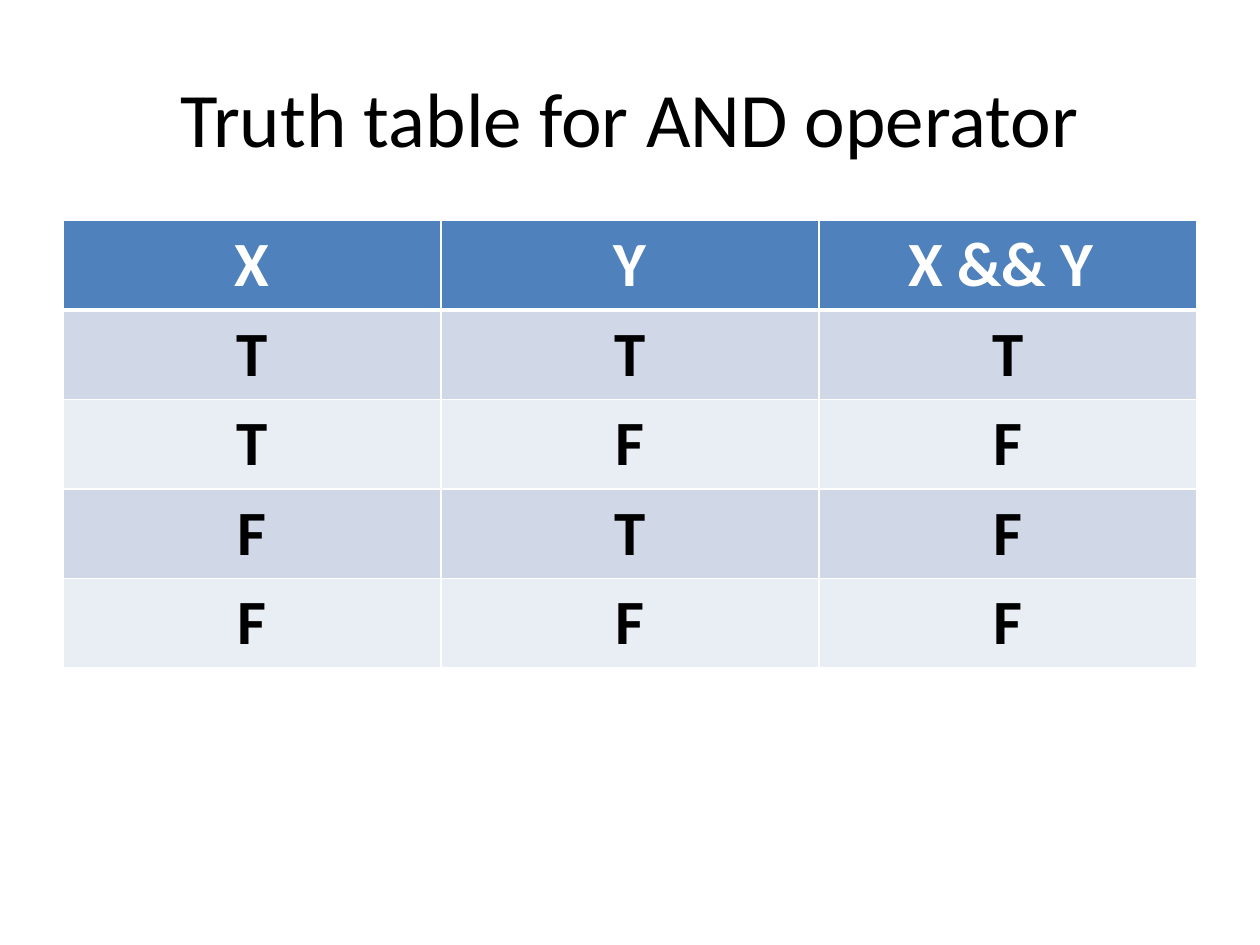
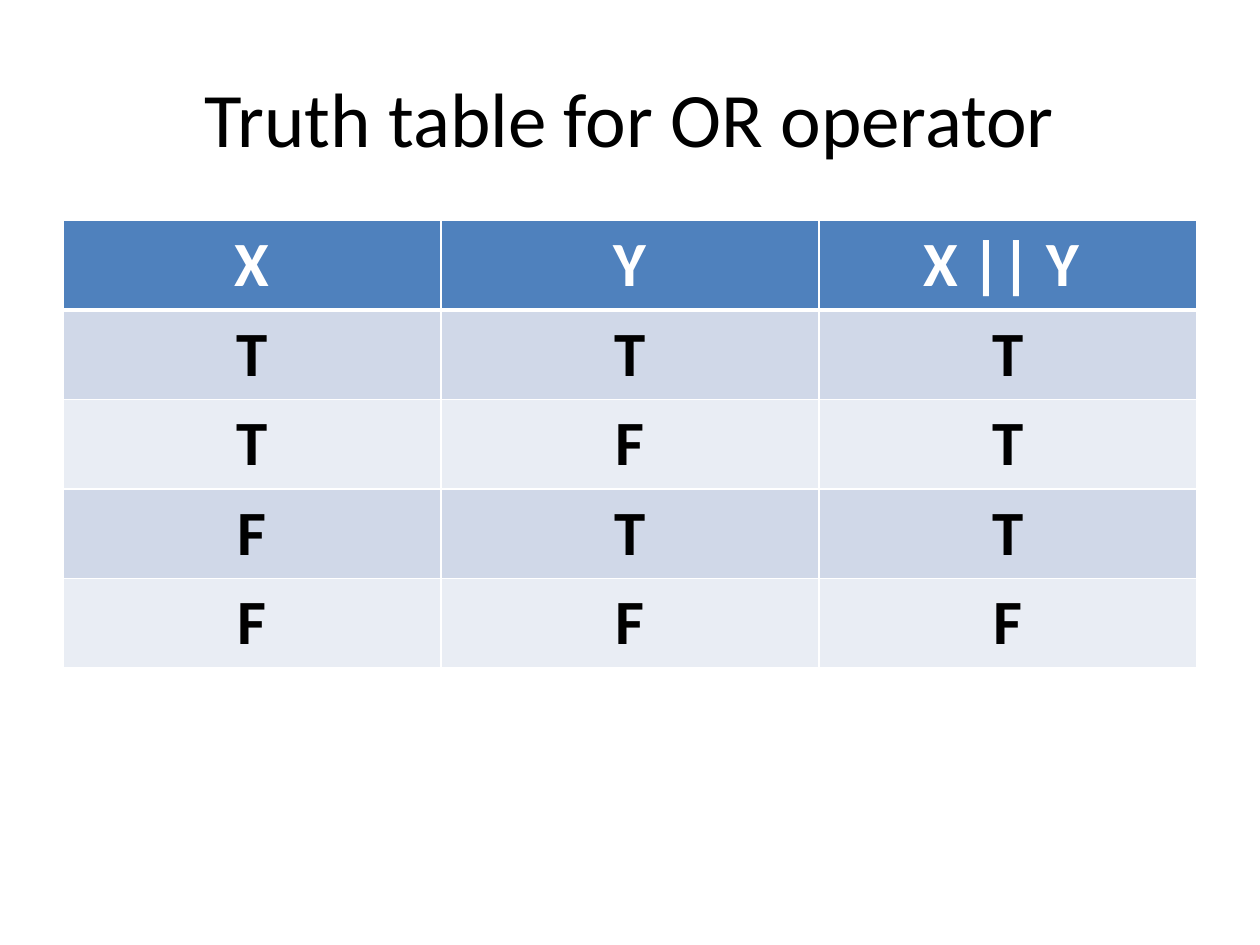
from itertools import product

from lxml import etree
from pptx import Presentation
from pptx import util as u
from pptx.dml.color import RGBColor
from pptx.enum import text
from pptx.oxml import ns

COLOURS = {
    "ink": "000000",
    "paper": "FFFFFF",
    "header": "4F81BD",
    "odd_row": "D0D8E8",
    "even_row": "E9EDF4",
}
TITLE_FORMAT = {"name": "Calibri", "size": u.Pt(44), "bold": False}
CELL_FORMAT = {"name": "Calibri", "size": u.Pt(36), "bold": True}
COLUMN_WIDTH, ROW_HEIGHT = 3, 0.71
THIN, THICK = 1, 3

# Title word, result heading and rule of each operator
OPERATORS = [
    ("AND", "X && Y ", lambda x, y: x and y),
    ("OR", "X || Y ", lambda x, y: x or y),
]


def colour(key):
    return RGBColor.from_string(COLOURS[key])


def write(frame, wording, font_format, colour_key):
    """Put one centred line of formatted text in a text frame."""
    paragraph = frame.paragraphs[0]
    paragraph.alignment = text.PP_ALIGN.CENTER
    run = paragraph.add_run()
    run.text = wording
    for attribute, value in font_format.items():
        setattr(run.font, attribute, value)
    run.font.color.rgb = colour(colour_key)


def add_title(slide, wording):
    title = slide.shapes.add_textbox(
        u.Inches(0.5), u.Inches(0.3), u.Inches(9), u.Inches(1.25))
    title.text_frame.word_wrap = True
    title.text_frame.vertical_anchor = text.MSO_ANCHOR.MIDDLE
    write(title.text_frame, wording, TITLE_FORMAT, "ink")


def add_borders(cell, top, bottom):
    """Rule all four sides; borders must come before the cell's fill."""
    properties = cell._tc.get_or_add_tcPr()
    widths = {"a:lnL": THIN, "a:lnR": THIN, "a:lnT": top, "a:lnB": bottom}
    for side, points in widths.items():
        line = etree.SubElement(properties, ns.qn(side), w=str(u.Pt(points)))
        fill = etree.SubElement(line, ns.qn("a:solidFill"))
        etree.SubElement(fill, ns.qn("a:srgbClr"), val=COLOURS["paper"])


def truth_rows(result_heading, rule):
    """Heading row, then one row for each pair of inputs."""
    rows = [("X", "Y", result_heading)]
    for x, y in product((True, False), repeat=2):
        rows.append(tuple("T" if value else "F" for value in (x, y, rule(x, y))))
    return rows


def add_truth_table(slide, rows):
    row_count, column_count = len(rows), len(rows[0])
    table = slide.shapes.add_table(
        row_count, column_count, u.Inches(0.5), u.Inches(1.75),
        u.Inches(COLUMN_WIDTH * column_count),
        u.Inches(ROW_HEIGHT * row_count)).table
    for row_index, row in enumerate(rows):
        is_header = row_index == 0
        band = "header" if is_header else ("even_row", "odd_row")[row_index % 2]
        for column_index, wording in enumerate(row):
            cell = table.cell(row_index, column_index)
            add_borders(cell, top=THICK if row_index == 1 else THIN,
                        bottom=THICK if is_header else THIN)
            cell.fill.solid()
            cell.fill.fore_color.rgb = colour(band)
            write(cell.text_frame, wording, CELL_FORMAT,
                  "paper" if is_header else "ink")


def main():
    deck = Presentation()
    deck.slide_width, deck.slide_height = u.Inches(10), u.Inches(7.5)
    blank = deck.slide_layouts[6]
    for operator, result_heading, rule in OPERATORS:
        slide = deck.slides.add_slide(blank)
        add_title(slide, f"Truth table for {operator} operator")
        add_truth_table(slide, truth_rows(result_heading, rule))
    deck.save("out.pptx")


if __name__ == "__main__":
    main()
